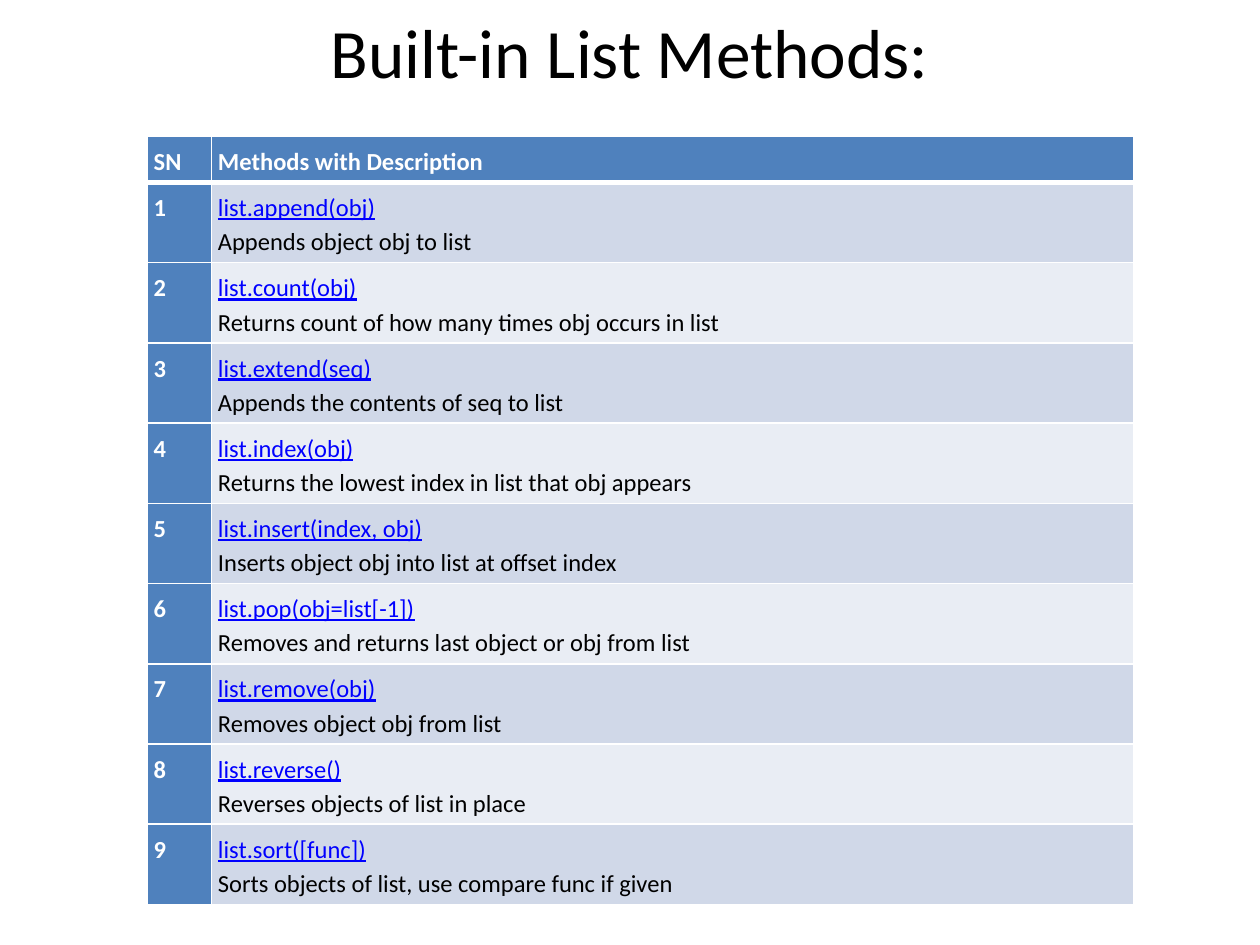
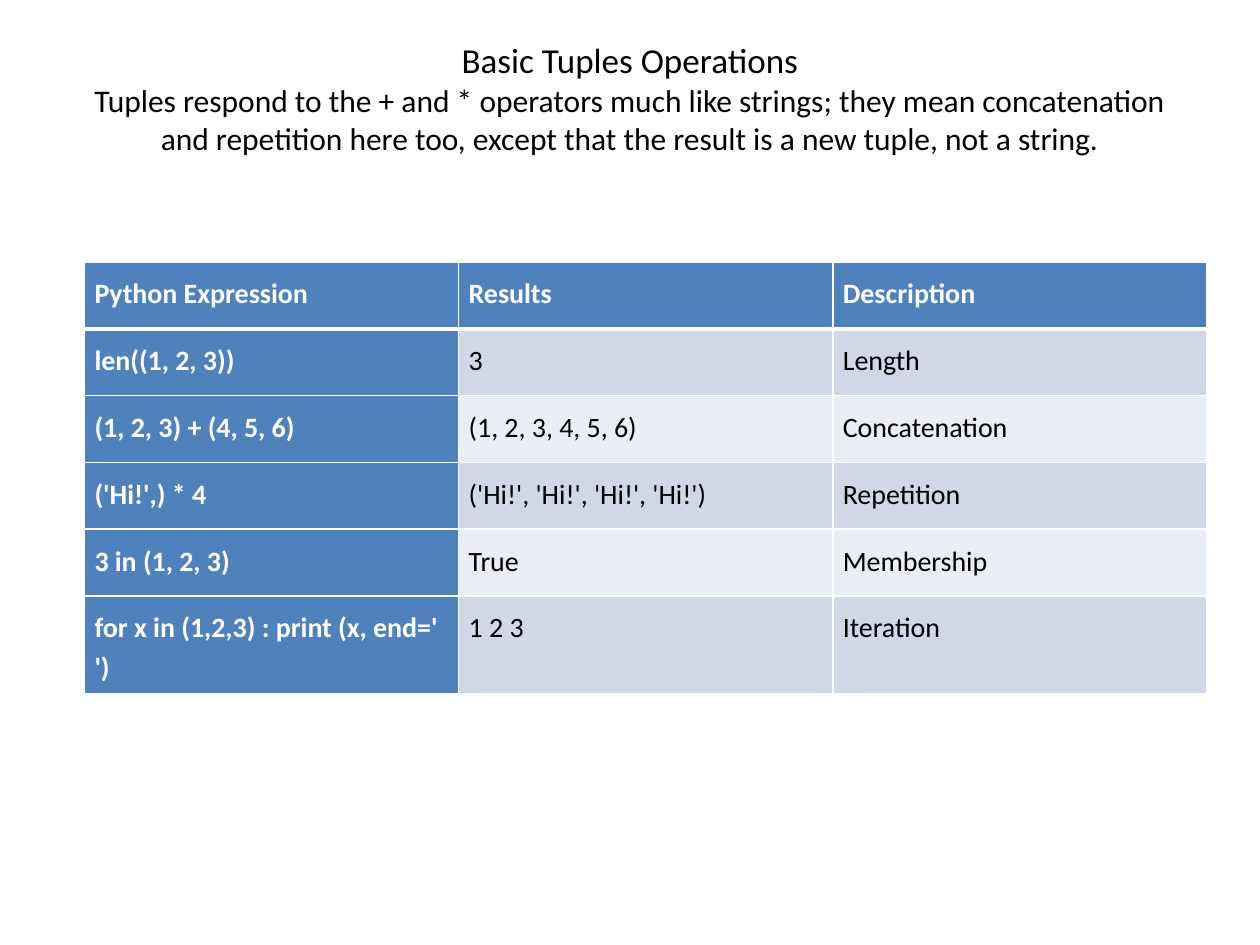
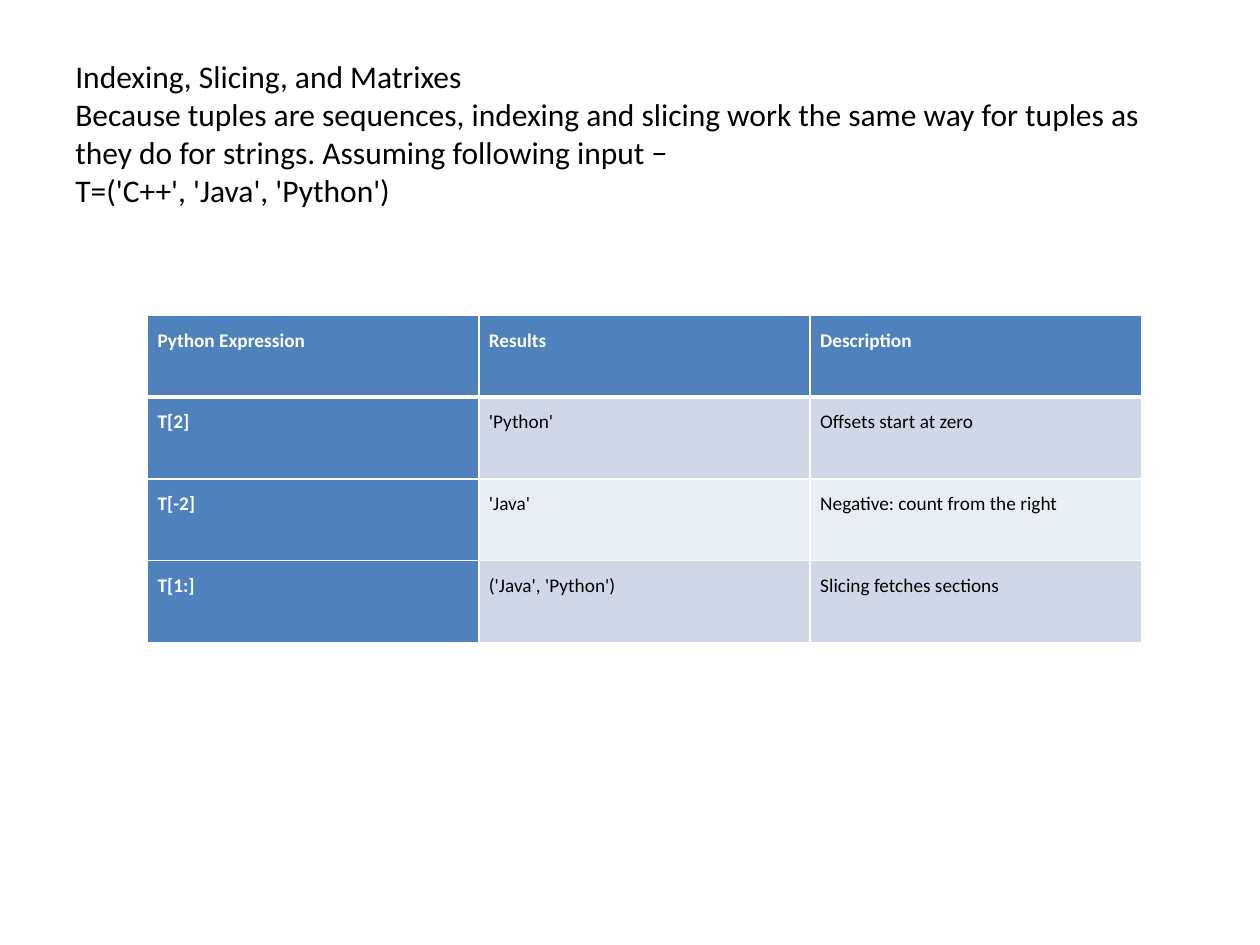
from dataclasses import dataclass

from pptx import Presentation
from pptx.dml.color import RGBColor
from pptx.enum.text import MSO_ANCHOR, PP_ALIGN
from pptx.oxml import parse_xml
from pptx.oxml.ns import nsdecls
from pptx.util import Inches, Pt


@dataclass(frozen=True)
class Theme:
    font: str = "Calibri"
    text: str = "000000"
    light: str = "FFFFFF"
    link: str = "0000FF"
    accent: str = "4F81BD"
    bands: tuple = ("D0D8E8", "E9EDF4")
    title_size: float = 39.6
    heading_size: int = 20
    lead_size: int = 18
    list_size: int = 14
    tuple_size: int = 16
    slicing_size: int = 11
    grid_width: int = 1
    header_rule: int = 3


class Deck:
    def __init__(self, theme):
        self.theme = theme
        self.presentation = Presentation()
        self.presentation.slide_width = Inches(10)
        self.presentation.slide_height = Inches(7.5)
        self.slide = None

    def new_slide(self):
        self.slide = self.presentation.slides.add_slide(self.presentation.slide_layouts[6])

    def style(self, font, size, color, bold=False):
        font.name = self.theme.font
        font.size = Pt(size)
        font.color.rgb = RGBColor.from_string(color)
        font.bold = bold

    def title(self, lines, height, bottom_inset, align=PP_ALIGN.CENTER):
        shape = self.slide.shapes.add_textbox(Inches(0.5), Inches(0.3), Inches(9), Inches(height))
        frame = shape.text_frame
        frame.word_wrap = True
        frame.vertical_anchor = MSO_ANCHOR.MIDDLE
        frame.margin_bottom = Inches(bottom_inset)
        for index, (text, size) in enumerate(lines):
            paragraph = frame.add_paragraph() if index else frame.paragraphs[0]
            paragraph.text = text
            paragraph.alignment = align
            self.style(paragraph.font, size, self.theme.text)

    def border(self, cell, top, bottom):
        grid = self.theme.grid_width
        widths = {"lnL": grid, "lnR": grid, "lnT": top, "lnB": bottom}
        properties = cell._tc.get_or_add_tcPr()
        for index, (tag, width) in enumerate(widths.items()):
            properties.insert(index, parse_xml(
                f'<a:{tag} {nsdecls("a")} w="{Pt(width)}"><a:solidFill>'
                f'<a:srgbClr val="{self.theme.light}"/></a:solidFill></a:{tag}>'))

    def cell(self, cell, content, size, inset, row, column):
        theme = self.theme
        is_accent = row == 0 or column == 0
        cell.margin_left = cell.margin_right = Inches(inset)
        cell.margin_top = cell.margin_bottom = Inches(inset)
        cell.fill.solid()
        fill = theme.accent if is_accent else theme.bands[(row - 1) % 2]
        cell.fill.fore_color.rgb = RGBColor.from_string(fill)
        self.border(cell,
                    top=theme.header_rule if row == 1 else theme.grid_width,
                    bottom=theme.header_rule if row == 0 else theme.grid_width)
        paragraph = cell.text_frame.paragraphs[0]
        paragraph.line_spacing = 1.15
        paragraph.space_after = Pt(10)
        self.style(paragraph.font, size, theme.light if is_accent else theme.text, is_accent)
        if isinstance(content, str):
            runs = [paragraph.add_run()]
            runs[0].text = content
        else:
            method, description = content
            link = paragraph.add_run()
            link.text = method
            paragraph.add_line_break()
            detail = paragraph.add_run()
            detail.text = description
            runs = [link, detail]
        for run in runs:
            self.style(run.font, size, theme.light if is_accent else theme.text, is_accent)
        if len(runs) > 1:
            runs[0].font.underline = True
            runs[0].font.color.rgb = RGBColor.from_string(theme.link)

    def table(self, rows, left, top, column_widths, row_heights, size, inset):
        frame = self.slide.shapes.add_table(
            len(rows), len(column_widths), Inches(left), Inches(top),
            Inches(sum(column_widths)), Inches(sum(row_heights)))
        table = frame.table
        for column, width in zip(table.columns, column_widths):
            column.width = Inches(width)
        for row, height in zip(table.rows, row_heights):
            row.height = Inches(height)
        for row_index, contents in enumerate(rows):
            for column_index, content in enumerate(contents):
                self.cell(table.cell(row_index, column_index), content, size, inset,
                          row_index, column_index)


LIST_METHODS = [
    ("list.append(obj)", "Appends object obj to list"),
    ("list.count(obj)", "Returns count of how many times obj occurs in list"),
    ("list.extend(seq)", "Appends the contents of seq to list"),
    ("list.index(obj)", "Returns the lowest index in list that obj appears"),
    ("list.insert(index, obj)", "Inserts object obj into list at offset index"),
    ("list.pop(obj=list[-1])", "Removes and returns last object or obj from list"),
    ("list.remove(obj)", "Removes object obj from list"),
    ("list.reverse()", "Reverses objects of list in place"),
    ("list.sort([func])", "Sorts objects of list, use compare func if given"),
]
EXPRESSION_HEADER = ("Python Expression", "Results", "Description")
TUPLE_OPERATIONS = [
    EXPRESSION_HEADER,
    ("len((1, 2, 3))", "3", "Length"),
    ("(1, 2, 3) + (4, 5, 6)", "(1, 2, 3, 4, 5, 6)", "Concatenation"),
    ("('Hi!',) * 4", "('Hi!', 'Hi!', 'Hi!', 'Hi!')", "Repetition"),
    ("3 in (1, 2, 3)", "True", "Membership"),
    ("for x in (1,2,3) : print (x, end=' ')", "1 2 3", "Iteration"),
]
TUPLE_SLICES = [
    EXPRESSION_HEADER,
    ("T[2]", "'Python'", "Offsets start at zero"),
    ("T[-2]", "'Java'", "Negative: count from the right"),
    ("T[1:]", "('Java', 'Python')", "Slicing fetches sections"),
]


def list_methods_slide(deck):
    deck.new_slide()
    deck.title([("Built-in List Methods:", deck.theme.title_size)], 0.78, 0.63)
    rows = [("SN", "Methods with Description")]
    rows += [(str(number), method) for number, method in enumerate(LIST_METHODS, 1)]
    deck.table(rows, 1.17, 1.08, [0.51, 7.32], [0.23] + [0.62] * len(LIST_METHODS),
               deck.theme.list_size, 0.05)


def tuple_operations_slide(deck):
    deck.new_slide()
    deck.title([
        ("Basic Tuples Operations", deck.theme.heading_size),
        ("Tuples respond to the + and * operators much like strings; they mean concatenation "
         "and repetition here too, except that the result is a new tuple, not a string.",
         deck.theme.lead_size),
    ], 1.25, 0.35)
    deck.table(TUPLE_OPERATIONS, 0.67, 2.08, [2.97] * 3, [0.53] * len(TUPLE_OPERATIONS),
               deck.theme.tuple_size, 0.08)


def tuple_slices_slide(deck):
    deck.new_slide()
    lines = [
        "Indexing, Slicing, and Matrixes",
        "Because tuples are sequences, indexing and slicing work the same way for tuples as "
        "they do for strings. Assuming following input −",
        "T=('C++', 'Java', 'Python')",
    ]
    deck.title([(line, deck.theme.lead_size) for line in lines], 1.78, 0.32, PP_ALIGN.LEFT)
    deck.table(TUPLE_SLICES, 1.17, 2.5, [2.63] * 3, [0.65] * len(TUPLE_SLICES),
               deck.theme.slicing_size, 0.08)


def main():
    deck = Deck(Theme())
    list_methods_slide(deck)
    tuple_operations_slide(deck)
    tuple_slices_slide(deck)
    deck.presentation.save("out.pptx")


if __name__ == "__main__":
    main()
